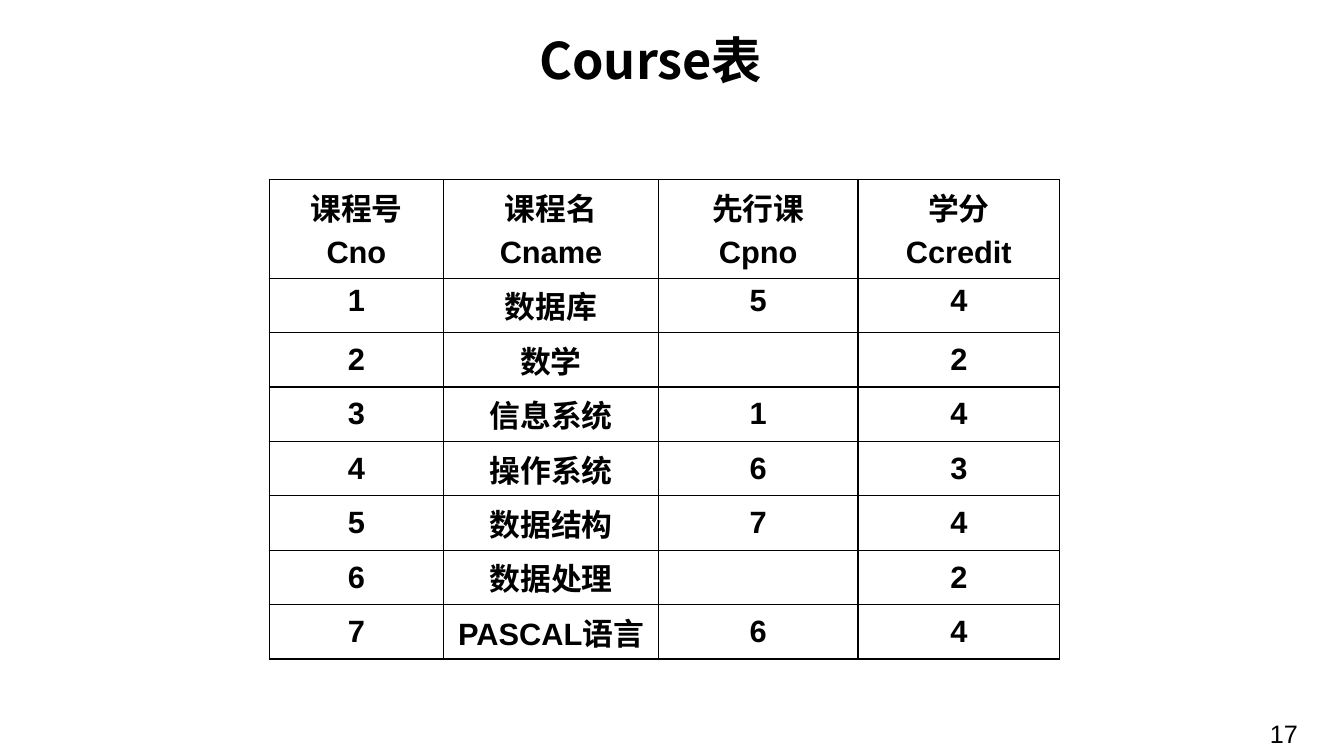
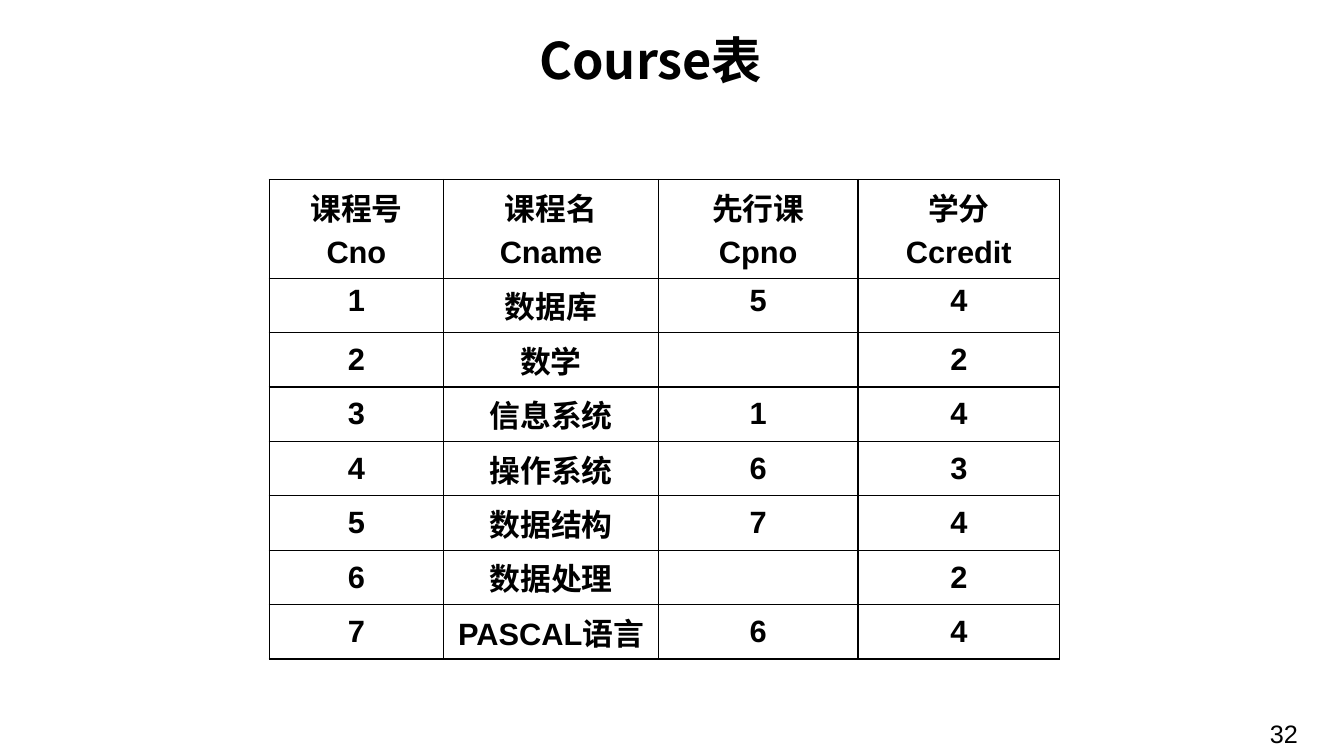
"""Builds two slides that show the Course table."""
from lxml import etree
from pptx import Presentation
from pptx import util as u
from pptx.dml.color import RGBColor
from pptx.enum import text
from pptx.oxml.ns import qn

INK = RGBColor(0x00, 0x00, 0x00)
BODY_FONT = "Arial"
CJK_FONT = "Noto Sans CJK SC"

COLUMN_WIDTHS = (1.73, 2.13, 1.98, 2)
HEADER_HEIGHT = 0.98
ROW_HEIGHT = 0.54
COURSES = (
    ("课程号\nCno", "课程名\nCname", "先行课\nCpno", "学分\nCcredit"),
    ("1", "数据库", "5", "4"),
    ("2", "数学", "", "2"),
    ("3", "信息系统", "1", "4"),
    ("4", "操作系统", "6", "3"),
    ("5", "数据结构", "7", "4"),
    ("6", "数据处理", "", "2"),
    ("7", "PASCAL语言", "6", "4"),
)
PAGE_NUMBERS = (17, 32)


def write(frame, content, size, font=BODY_FONT, bold=False,
          align=text.PP_ALIGN.LEFT, anchor=text.MSO_ANCHOR.TOP, gap=0):
    frame.word_wrap = True
    frame.vertical_anchor = anchor
    for index, line in enumerate(content.split("\n")):
        paragraph = frame.add_paragraph() if index else frame.paragraphs[0]
        paragraph.alignment = align
        if index:
            paragraph.space_before = u.Pt(gap)
        if not line:
            paragraph.font.size = u.Pt(size)
            continue
        run = paragraph.add_run()
        run.text = line
        run.font.size = u.Pt(size)
        run.font.bold = bold
        run.font.color.rgb = INK
        run.font.name = font
        east_asian = etree.SubElement(run.font._element, qn("a:ea"))
        east_asian.set("typeface", CJK_FONT)


def outline(cell, width=1):
    properties = cell._tc.get_or_add_tcPr()
    for side in ("lnL", "lnR", "lnT", "lnB"):
        border = etree.SubElement(properties, qn(f"a:{side}"), w=str(u.Pt(width)))
        fill = etree.SubElement(border, qn("a:solidFill"))
        etree.SubElement(fill, qn("a:srgbClr"), val=str(INK))


class Deck:
    def __init__(self):
        self.presentation = Presentation()
        self.presentation.slide_width = u.Inches(13.33)
        self.presentation.slide_height = u.Inches(7.5)
        self.slide = None

    def add_slide(self, title, number):
        self.slide = self.presentation.slides.add_slide(
            self.presentation.slide_layouts[6])
        self.add_text(title, 5.25, 0.28, 8.08, 0.62, size=36, font=CJK_FONT,
                      bold=True, anchor=text.MSO_ANCHOR.MIDDLE)
        self.add_text(str(number), 11.72, 7.08, 1.25, 0.4, size=18,
                      align=text.PP_ALIGN.RIGHT)

    def add_text(self, content, left, top, width, height, **style):
        box = self.slide.shapes.add_textbox(
            u.Inches(left), u.Inches(top), u.Inches(width), u.Inches(height))
        write(box.text_frame, content, **style)

    def add_table(self, rows, left, top):
        heights = [HEADER_HEIGHT] + [ROW_HEIGHT] * (len(rows) - 1)
        table = self.slide.shapes.add_table(
            len(rows), len(COLUMN_WIDTHS), u.Inches(left), u.Inches(top),
            u.Inches(sum(COLUMN_WIDTHS)), u.Inches(sum(heights))).table
        table.first_row = table.horz_banding = False
        for column, width in zip(table.columns, COLUMN_WIDTHS):
            column.width = u.Inches(width)
        for index, (values, height) in enumerate(zip(rows, heights)):
            table.rows[index].height = u.Inches(height)
            anchor = text.MSO_ANCHOR.TOP if index < 2 else text.MSO_ANCHOR.MIDDLE
            for cell, value in zip(table.rows[index].cells, values):
                outline(cell)
                cell.fill.background()
                write(cell.text_frame, value, size=22, bold=True, gap=4.4,
                      align=text.PP_ALIGN.CENTER)
                cell.vertical_anchor = anchor


def main():
    deck = Deck()
    for number in PAGE_NUMBERS:
        deck.add_slide("Course表", number)
        deck.add_table(COURSES, 2.67, 1.78)
    deck.presentation.save("out.pptx")


if __name__ == "__main__":
    main()
